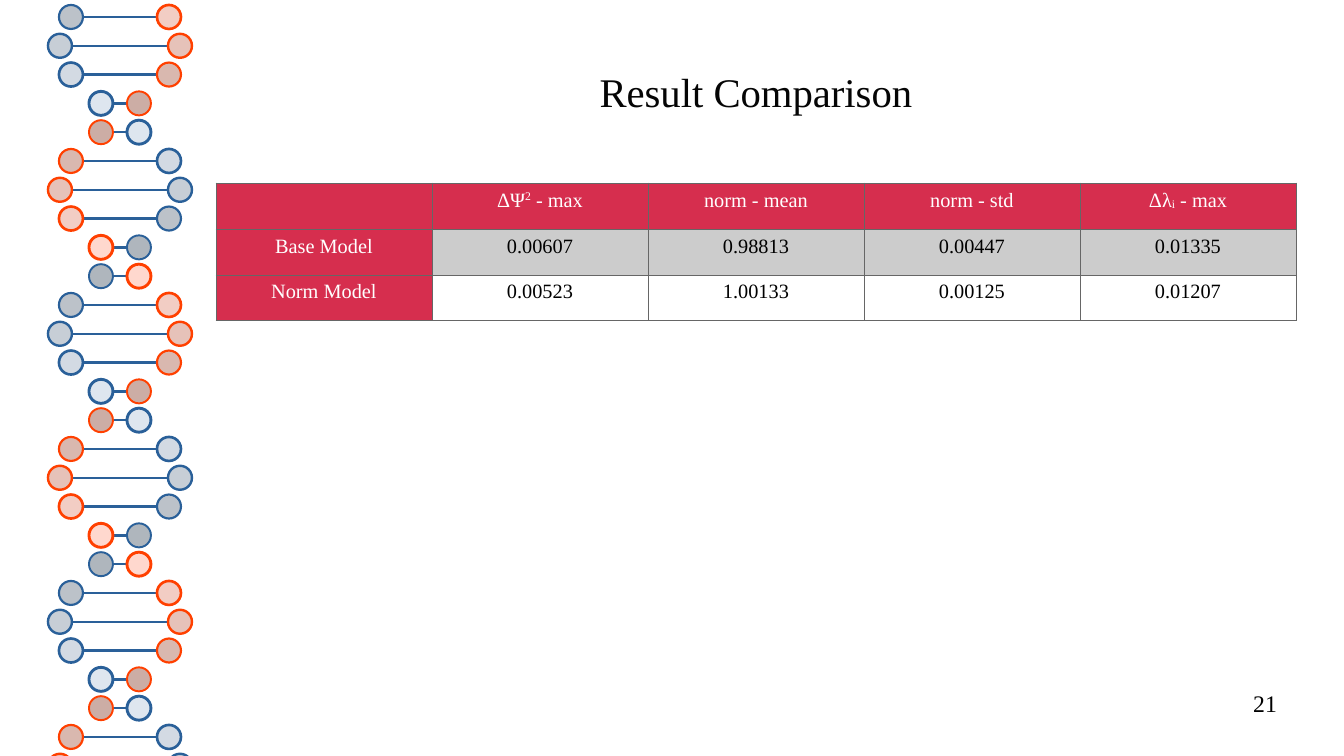
from lxml import etree
from pptx import Presentation, util as u
from pptx.dml.color import RGBColor
from pptx.enum import shapes, text
from pptx.oxml import ns

# Content: a cell is a list of (text, baseline in thousandths of a percent)
TITLE = "Result Comparison"
PAGE = "21"
ROWS = [
    [[], [("ΔΨ", 0), ("2", 33000), (" - max", 0)], [("norm - mean", 0)],
     [("norm - std", 0)], [("Δλ", 0), ("i", -8000), (" - max", 0)]],
    [[(value, 0)] for value in ("Base Model", "0.00607", "0.98813", "0.00447", "0.01335")],
    [[(value, 0)] for value in ("Norm Model", "0.00523", "1.00133", "0.00125", "0.01207")],
]

# Style
FONT = "Times New Roman"
BLACK = RGBColor(0, 0, 0)
TITLE_BLACK = RGBColor(0x05, 0x05, 0x05)
WHITE = RGBColor(0xFF, 0xFF, 0xFF)
CRIMSON = RGBColor(0xD6, 0x2E, 0x4E)
BORDER = RGBColor(0x66, 0x66, 0x66)
BODY_FILLS = [RGBColor(0xCC, 0xCC, 0xCC), WHITE]
BLUE = RGBColor(0x2A, 0x60, 0x99)
ORANGE = RGBColor(0xFF, 0x40, 0x00)
BLUE_SHADES = [RGBColor.from_string(c) for c in ("AFB6BD", "BCC2C9", "C7CED6", "D3DAE3", "DEE6EF")]
ORANGE_SHADES = [RGBColor.from_string(c) for c in ("FFD8CE", "F2CDC4", "E6C2B9", "D9B8AF", "CCADA5")]

# Helix: one turn takes ten rungs
HELIX_X, FIRST_Y, HALF_TURN, RUNGS, BALL = 120, 17, 144, 27, 24
HALF_WIDTHS = [49, 60, 49, 19, 19]
DEPTHS = [1, 2, 3, 4, 4, 3, 2, 1, 0, 0]
BLUE_SIDES = [-1, -1, -1, -1, 1, 1, 1, 1, 1, -1]

# Layout in px
SLIDE_W, SLIDE_H = 1344, 756
TABLE_X, TABLE_Y, COLUMN_W, ROW_H = 216, 183, 216, 46
TITLE_BOX = (216, 29, 1080, 124)
PAGE_BOX = (964, 689, 313, 52)
EMU_PER_PX = 914400 / 122


def px(length):
    return u.Emu(round(length * EMU_PER_PX))


def add_run(paragraph, content, size, color, baseline=0):
    run = paragraph.add_run()
    run.text = content
    run.font.name, run.font.size, run.font.bold = FONT, u.Pt(size), False
    run.font.color.rgb = color
    if baseline:
        run._r.get_or_add_rPr().set("baseline", str(baseline))


def fill_text_box(shape, box, content, size, color, alignment, anchor):
    shape.left, shape.top, shape.width, shape.height = map(px, box)
    frame = shape.text_frame
    frame.word_wrap, frame.auto_size = True, text.MSO_AUTO_SIZE.NONE
    frame.margin_left = frame.margin_right = frame.margin_top = frame.margin_bottom = 0
    frame.vertical_anchor = anchor
    frame.paragraphs[0].alignment = alignment
    add_run(frame.paragraphs[0], content, size, color)


def add_rung(group, x1, x2, y):
    line = group.shapes.add_connector(shapes.MSO_CONNECTOR.STRAIGHT, px(x1), px(y), px(x2), px(y))
    line.line.color.rgb, line.line.width = BLUE, u.Pt(1.42)
    etree.SubElement(line._element.spPr, ns.qn("a:effectLst"))


def add_ball(group, x, y, fill, outline, width):
    ball = group.shapes.add_shape(shapes.MSO_SHAPE.OVAL, px(x - BALL / 2), px(y - BALL / 2),
                                  px(BALL), px(BALL))
    ball.shadow.inherit = False
    ball.fill.solid()
    ball.fill.fore_color.rgb = fill
    ball.line.color.rgb, ball.line.width = outline, u.Pt(width)


def add_borders(cell):
    properties = cell._tc.get_or_add_tcPr()
    for side in ("a:lnL", "a:lnR", "a:lnT", "a:lnB"):
        line = etree.SubElement(properties, ns.qn(side), w=str(u.Pt(0.57)))
        fill = etree.SubElement(line, ns.qn("a:solidFill"))
        etree.SubElement(fill, ns.qn("a:srgbClr"), val=str(BORDER))


def add_helix(slide):
    group = slide.shapes.add_group_shape()
    centres = [FIRST_Y + HALF_TURN * i / 5 for i in range(RUNGS)]
    # Rungs; the last pair is cut off by the slide edge
    for i, y in enumerate(centres[:-1]):
        reach = HALF_WIDTHS[i % 5] - BALL / 2
        add_rung(group, HELIX_X - reach, HELIX_X + reach, y)
    # Balls: blue outlines thicken as orange ones thin
    for i, y in enumerate(centres):
        depth = DEPTHS[i % 10]
        offset = BLUE_SIDES[i % 10] * HALF_WIDTHS[i % 5]
        add_ball(group, HELIX_X + offset, y, BLUE_SHADES[depth], BLUE, 1.13 + 0.14 * depth)
        add_ball(group, HELIX_X - offset, y, ORANGE_SHADES[depth], ORANGE, 1.7 - 0.14 * depth)


def add_results(slide):
    columns = len(ROWS[0])
    table = slide.shapes.add_table(len(ROWS), columns, px(TABLE_X), px(TABLE_Y),
                                   px(COLUMN_W * columns), px(ROW_H * len(ROWS))).table
    table.first_row = table.horz_banding = False
    for r, row in enumerate(ROWS):
        for c, runs in enumerate(row):
            cell = table.cell(r, c)
            header = r == 0 or c == 0
            add_borders(cell)
            cell.fill.solid()
            cell.fill.fore_color.rgb = CRIMSON if header else BODY_FILLS[r - 1]
            cell.margin_left = cell.margin_right = px(5)
            cell.margin_top = cell.margin_bottom = px(6)
            paragraph = cell.text_frame.paragraphs[0]
            paragraph.alignment = text.PP_ALIGN.CENTER
            for content, baseline in runs:
                add_run(paragraph, content, 12, WHITE if header else BLACK, baseline)
            if not runs:
                paragraph._p.get_or_add_endParaRPr().set("sz", "1200")


def main():
    presentation = Presentation()
    presentation.slide_width, presentation.slide_height = px(SLIDE_W), px(SLIDE_H)
    slide = presentation.slides.add_slide(presentation.slide_layouts[5])
    add_helix(slide)
    add_results(slide)
    # Title and page number
    fill_text_box(slide.shapes.title, TITLE_BOX, TITLE, 24, TITLE_BLACK,
                  text.PP_ALIGN.CENTER, text.MSO_ANCHOR.MIDDLE)
    page = slide.shapes.add_textbox(*map(px, PAGE_BOX))
    fill_text_box(page, PAGE_BOX, PAGE, 14, BLACK, text.PP_ALIGN.RIGHT, text.MSO_ANCHOR.TOP)
    presentation.save("out.pptx")


if __name__ == "__main__":
    main()
